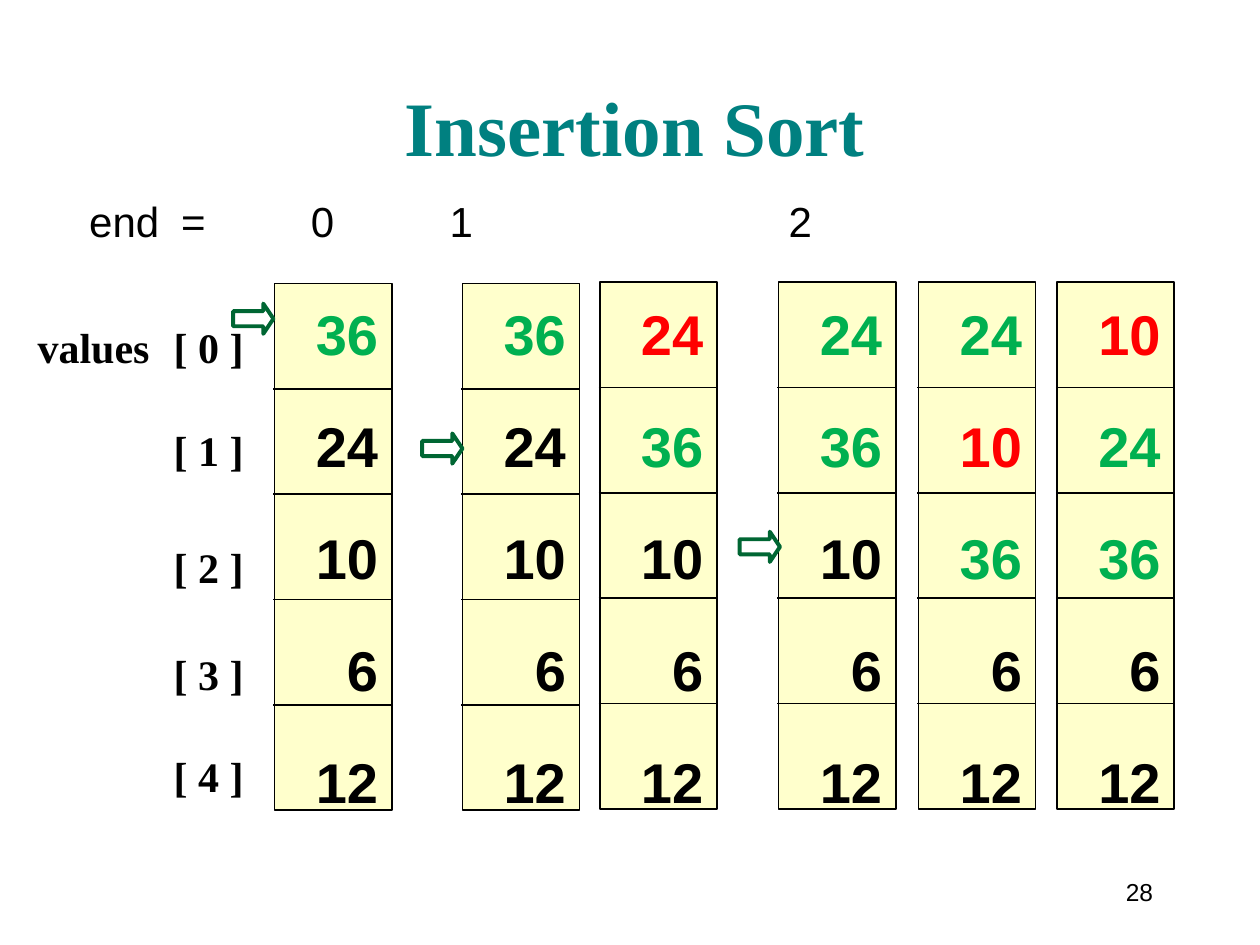
from lxml import etree
from pptx import Presentation
from pptx.dml.color import RGBColor
from pptx.enum.shapes import MSO_CONNECTOR, MSO_SHAPE
from pptx.enum.text import MSO_ANCHOR, PP_ALIGN
from pptx.oxml.ns import qn
from pptx.util import Inches, Pt

RECTANGLE = MSO_SHAPE.RECTANGLE
RIGHT_ARROW = MSO_SHAPE.RIGHT_ARROW
STRAIGHT = MSO_CONNECTOR.STRAIGHT
TOP, MIDDLE, BOTTOM = MSO_ANCHOR.TOP, MSO_ANCHOR.MIDDLE, MSO_ANCHOR.BOTTOM
LEFT, CENTER, RIGHT = PP_ALIGN.LEFT, PP_ALIGN.CENTER, PP_ALIGN.RIGHT

COLORS = {
    "text": "000000",
    "title": "008080",
    "cell": "FFFFCC",
    "sorted": "00B050",
    "moved": "FF0000",
    "arrow": "006633",
}
SANS, SERIF = "Arial", "Times New Roman"
ROWS = 5
COLUMN_WIDTH, COLUMN_HEIGHT = 0.93, 4.18
VALUES_TOP = 2.33

COLUMNS = [
    (2.18, 2.25, [36, 24, 10, 6, 12], 1, None),
    (3.67, 2.25, [36, 24, 10, 6, 12], 1, None),
    (4.76, 2.24, [24, 36, 10, 6, 12], 2, 0),
    (6.18, 2.24, [24, 36, 10, 6, 12], 2, None),
    (7.29, 2.24, [24, 10, 36, 6, 12], 3, 1),
    (8.39, 2.24, [10, 24, 36, 6, 12], 3, 0),
]
ARROWS = [(1.85, 2.41), (3.35, 3.44), (5.87, 4.22)]


def color(name):
    """Return the palette colour with the given name."""
    return RGBColor.from_string(COLORS[name])


def add_text_box(slide, left, top, width, height, anchor=TOP, wrap=True):
    """Add an empty text box and return its text frame."""
    frame = slide.shapes.add_textbox(
        Inches(left), Inches(top), Inches(width), Inches(height)
    ).text_frame
    frame.word_wrap = wrap
    frame.vertical_anchor = anchor
    return frame


def add_line_of_text(frame, text, size, font, bold=False, fill="text",
                     align=LEFT, before=0, tabs=()):
    """Write one paragraph into the frame, reusing its empty first one."""
    paragraph = frame.paragraphs[0]
    if paragraph.runs:
        paragraph = frame.add_paragraph()
    if tabs:
        properties = paragraph._p.get_or_add_pPr()
        tab_list = etree.SubElement(properties, qn("a:tabLst"))
        for position in tabs:
            etree.SubElement(tab_list, qn("a:tab"),
                             pos=str(Inches(position)), algn="l")
    paragraph.alignment = align
    if before:
        paragraph.space_before = Pt(before)
    run = paragraph.add_run()
    run.text = text
    run.font.size = Pt(size)
    run.font.name = font
    run.font.bold = bold
    run.font.color.rgb = color(fill)


def add_title(slide, left, top, width, height):
    """Add the slide title."""
    frame = add_text_box(slide, left, top, width, height, BOTTOM)
    add_line_of_text(frame, "Insertion Sort", 44, SERIF, True, "title", CENTER)


def add_end_row(slide, left, top, width, height):
    """Add the row that gives the value of end for each pass."""
    frame = add_text_box(slide, left, top, width, height)
    add_line_of_text(frame, "end\t=\t0\t1\t2", 24, SANS,
                     tabs=(0.73, 1.76, 2.86, 5.55))


def add_index_labels(slide, left, top, width, height):
    """Add the array name and the index of each row."""
    frame = add_text_box(slide, left, top, width, height)
    for index, before in enumerate((0, 30, 38, 32.5, 29.5)):
        name = "values" if index == 0 else ""
        add_line_of_text(frame, f"{name}\t[ {index} ]", 24, SERIF, True,
                         before=before, tabs=(1.08,))


def add_divider(slide, left, right, height):
    """Add one horizontal line between two cells."""
    divider = slide.shapes.add_connector(
        STRAIGHT, Inches(left), Inches(height), Inches(right), Inches(height)
    )
    divider.line.color.rgb = color("text")
    divider.line.width = Pt(1)
    etree.SubElement(divider._element.spPr, qn("a:effectLst"))


def add_column(slide, left, top, values, sorted_count, moved):
    """Add one state of the array as a divided column of values."""
    column = slide.shapes.add_shape(
        RECTANGLE, Inches(left), Inches(top),
        Inches(COLUMN_WIDTH), Inches(COLUMN_HEIGHT)
    )
    column.shadow.inherit = False
    column.fill.solid()
    column.fill.fore_color.rgb = color("cell")
    column.line.color.rgb = color("text")
    column.line.width = Pt(1)
    for row in range(1, ROWS):
        add_divider(slide, left - 0.01, left + COLUMN_WIDTH,
                    top + row * COLUMN_HEIGHT / ROWS)
    frame = add_text_box(slide, left + 0.22, VALUES_TOP, 0.7, 4.14)
    for row, value in enumerate(values):
        fill = "sorted" if row < sorted_count else "text"
        if row == moved:
            fill = "moved"
        add_line_of_text(frame, str(value), 32, SANS, True, fill, RIGHT,
                         before=25.6 if row else 0)


def add_arrow(slide, left, top):
    """Add an outlined arrow pointing at the value to insert."""
    arrow = slide.shapes.add_shape(
        RIGHT_ARROW, Inches(left), Inches(top), Inches(0.32), Inches(0.24)
    )
    arrow.adjustments[1] = 0.335
    arrow.shadow.inherit = False
    arrow.fill.background()
    arrow.line.color.rgb = color("arrow")
    arrow.line.width = Pt(2.25)


def add_page_number(slide, left, top, width, height):
    """Add the page number."""
    frame = add_text_box(slide, left, top, width, height, MIDDLE)
    add_line_of_text(frame, "28", 14, SANS, align=RIGHT)


def main():
    """Build the slide and save it."""
    presentation = Presentation()
    presentation.slide_width = Inches(10)
    presentation.slide_height = Inches(7.5)
    slide = presentation.slides.add_slide(presentation.slide_layouts[6])
    add_page_number(slide, 8.58, 6.83, 0.67, 0.5)
    add_title(slide, 1.82, 0.16, 6.44, 1.25)
    add_index_labels(slide, 0.2, 2.5, 2.43, 3.81)
    add_end_row(slide, 0.61, 1.5, 9.11, 0.5)
    for column in COLUMNS:
        add_column(slide, *column)
    for arrow in ARROWS:
        add_arrow(slide, *arrow)
    presentation.save("out.pptx")


if __name__ == "__main__":
    main()
